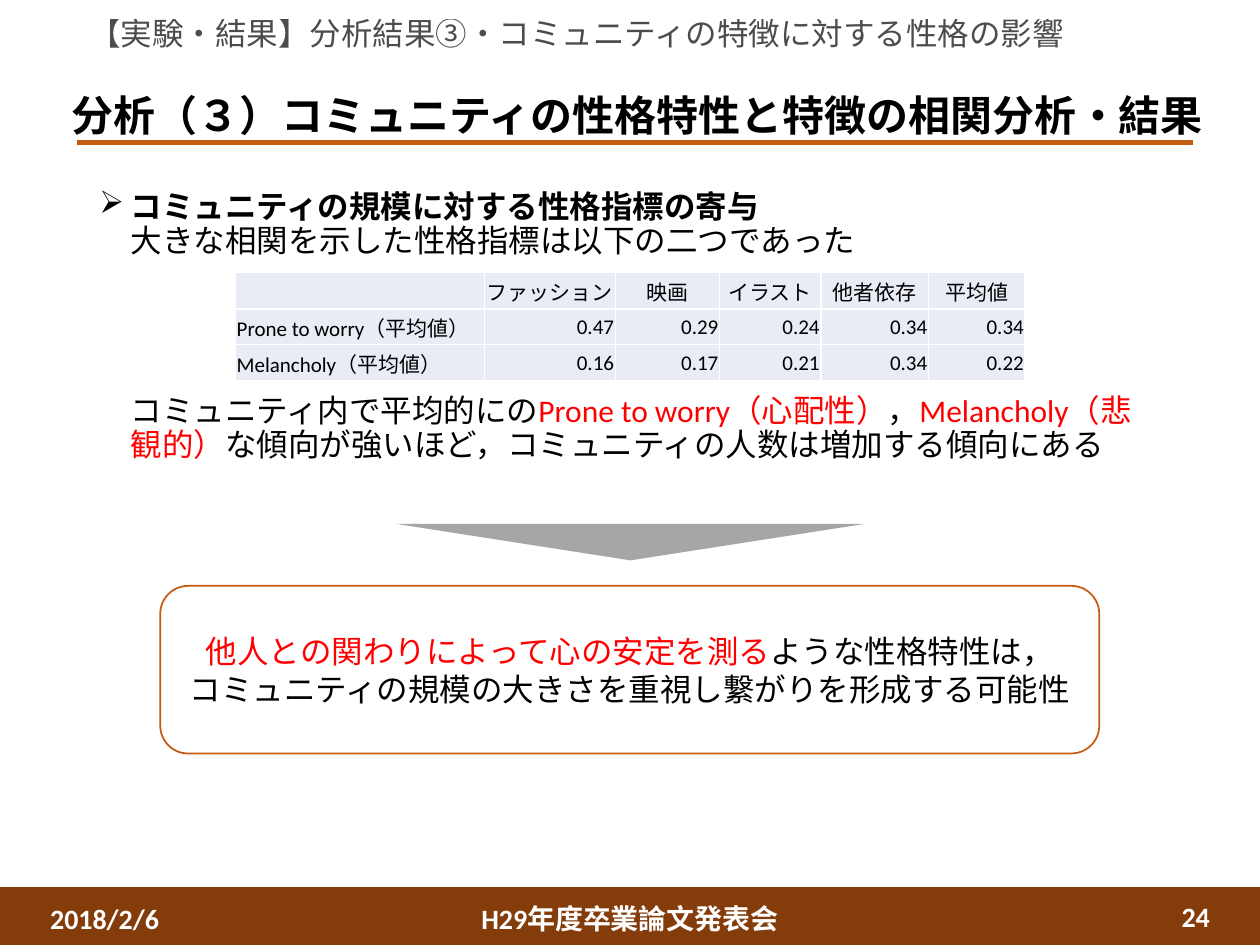
from lxml.etree import SubElement
from pptx import Presentation
from pptx.dml.color import RGBColor
from pptx.enum.shapes import MSO_CONNECTOR, MSO_SHAPE as SHAPE
from pptx.enum.text import MSO_ANCHOR as ANCHOR, PP_ALIGN as ALIGN
from pptx.oxml import parse_xml
from pptx.oxml.ns import nsdecls, qn
from pptx.util import Pt

BLACK, WHITE, RED, ORANGE, BROWN = "000000", "FFFFFF", "FF0000", "C55A11", "843C0B"


def rgb(value):
    return RGBColor.from_string(value)


def write(p, parts, size, align=ALIGN.LEFT):
    """Fill a paragraph with (text, colour, bold) runs; a newline is a line break."""
    p.alignment = align
    for text, color, bold in parts:
        for i, line in enumerate(text.split("\n")):
            if i:
                p.add_line_break()
            if line:
                r = p.add_run()
                r.text = line
                r.font.name, r.font.size, r.font.bold = "Calibri", Pt(size), bold
                r.font.color.rgb = rgb(color)


prs = Presentation()
prs.slide_width, prs.slide_height = Pt(720), Pt(540)
s = prs.slides.add_slide(prs.slide_layouts[6])

# Footer band, result box and down-pointing triangle
shapes = {}
for name, kind, x, y, w, h, fill, line in [
    ("band", SHAPE.RECTANGLE, 0, 507.6, 720, 38.9, BROWN, BROWN),
    ("triangle", SHAPE.ISOSCELES_TRIANGLE, 226, 299.3, 268.5, 20.9, "A6A6A6", None),
    ("result", SHAPE.ROUNDED_RECTANGLE, 91.6, 334.8, 536.6, 95.8, WHITE, ORANGE),
]:
    sp = s.shapes.add_shape(kind, Pt(x), Pt(y), Pt(w), Pt(h))
    sp.shadow.inherit = False
    sp.fill.solid()
    sp.fill.fore_color.rgb = rgb(fill)
    if line:
        sp.line.color.rgb = rgb(line)
        sp.line.width = Pt(1)
    else:
        sp.line.fill.background()
    shapes[name] = sp
shapes["triangle"].rotation = 180
tf = shapes["result"].text_frame
tf.word_wrap = True
tf.vertical_anchor = ANCHOR.MIDDLE
write(tf.paragraphs[0], [
    ("他人との関わりによって心の安定を測る", RED, False),
    ("ような性格特性は，\nコミュニティの規模の大きさを重視し繋がりを形成する可能性", BLACK, False),
], 18, ALIGN.CENTER)

# Rule under the title
rule = s.shapes.add_connector(MSO_CONNECTOR.STRAIGHT, Pt(44), Pt(81.4), Pt(682), Pt(81.4))
rule.line.color.rgb = rgb(ORANGE)
rule.line.width = Pt(2.5)
SubElement(rule._element.spPr, qn("a:effectLst"))

# Section heading, title, body and footer texts
frames = {}
for name, x, y, w, h, anchor, align, size, spacing, parts in [
    ("section", 44, 7.2, 643.7, 31.7, ANCHOR.TOP, ALIGN.LEFT, 18, 0.9,
     [("【実験・結果】分析結果③・コミュニティの特徴に対する性格の影響", BLACK, False)]),
    ("title", 33.8, 44.6, 848, 46, ANCHOR.MIDDLE, ALIGN.LEFT, 24, 0.9,
     [("分析（３）コミュニティの性格特性と特徴の相関分析・結果", BLACK, True)]),
    ("body", 49.7, 105.8, 620.6, 380, ANCHOR.TOP, ALIGN.LEFT, 18, 0.9,
     [("コミュニティの規模に対する性格指標の寄与\n", BLACK, True),
      ("大きな相関を示した性格指標は以下の二つであった", BLACK, False)]),
    ("date", 21.6, 510.5, 162, 28.8, ANCHOR.MIDDLE, ALIGN.LEFT, 16, 1,
     [("2018/2/6", WHITE, True)]),
    ("event", 238.3, 510.5, 243.4, 28.8, ANCHOR.MIDDLE, ALIGN.CENTER, 16, 1,
     [("H29年度卒業論文発表会", WHITE, True)]),
    ("number", 536.4, 509, 162, 28.8, ANCHOR.MIDDLE, ALIGN.RIGHT, 16, 1,
     [("24", WHITE, True)]),
]:
    tf = s.shapes.add_textbox(Pt(x), Pt(y), Pt(w), Pt(h)).text_frame
    tf.word_wrap = True
    tf.vertical_anchor = anchor
    tf.paragraphs[0].line_spacing = spacing
    write(tf.paragraphs[0], parts, size, align)
    frames[name] = tf

# The section heading is 70 % opaque
for clr in frames["section"].paragraphs[0]._p.iter(qn("a:srgbClr")):
    SubElement(clr, qn("a:alpha"), val="70000")

# Second body paragraph, leaving room for the table above it
p = frames["body"].add_paragraph()
p.line_spacing = 0.9
p.space_before = Pt(77.7)
write(p, [
    ("コミュニティ内で平均的にの", BLACK, False),
    ("Prone to worry（心配性）", RED, False),
    ("，", BLACK, False),
    ("Melancholy（悲観的）", RED, False),
    ("な傾向が強いほど，コミュニティの人数は増加する傾向にある", BLACK, False),
], 18)

# Hanging indent for both body paragraphs, arrow bullet on the first
for p, bullet in zip(frames["body"].paragraphs, ("➢", None)):
    pPr = p._p.get_or_add_pPr()
    pPr.set("marL", str(Pt(18)))
    pPr.set("indent", str(Pt(-18) if bullet else 0))
    if bullet:
        SubElement(pPr, qn("a:buChar"), char=bullet)

# Correlation table
rows = [
    ["", "ファッション", "映画", "イラスト", "他者依存", "平均値"],
    ["Prone to worry（平均値）", "0.47", "0.29", "0.24", "0.34", "0.34"],
    ["Melancholy（平均値）", "0.16", "0.17", "0.21", "0.34", "0.22"],
]
widths = [142.3, 74.7, 59.6, 57.9, 61.5, 55.2]
heights = [20.9, 20.2, 20.6]
table = s.shapes.add_table(3, 6, Pt(134.6), Pt(155.8), Pt(sum(widths)), Pt(sum(heights))).table
for col, w in zip(table.columns, widths):
    col.width = Pt(w)
for row, h in zip(table.rows, heights):
    row.height = Pt(h)
for i, row in enumerate(rows):
    for j, text in enumerate(row):
        cell = table.cell(i, j)
        cell.vertical_anchor = ANCHOR.MIDDLE
        cell.margin_left = cell.margin_right = cell.margin_top = Pt(0.7)
        cell.margin_bottom = 0
        p = cell.text_frame.paragraphs[0]
        align = ALIGN.CENTER if i == 0 else ALIGN.RIGHT if j else ALIGN.LEFT
        write(p, [(text, BLACK, False)], 12, align)
        if not text:
            SubElement(p._p, qn("a:endParaRPr"), sz="1200")
        tcPr = cell._tc.get_or_add_tcPr()
        for side in ("lnL", "lnR", "lnT", "lnB"):
            tcPr.append(parse_xml(
                f'<a:{side} {nsdecls("a")} w="{Pt(1)}"><a:solidFill>'
                f'<a:srgbClr val="{WHITE}"/></a:solidFill></a:{side}>'))
        cell.fill.solid()
        cell.fill.fore_color.rgb = rgb("E9EBF5")

prs.save("out.pptx")
